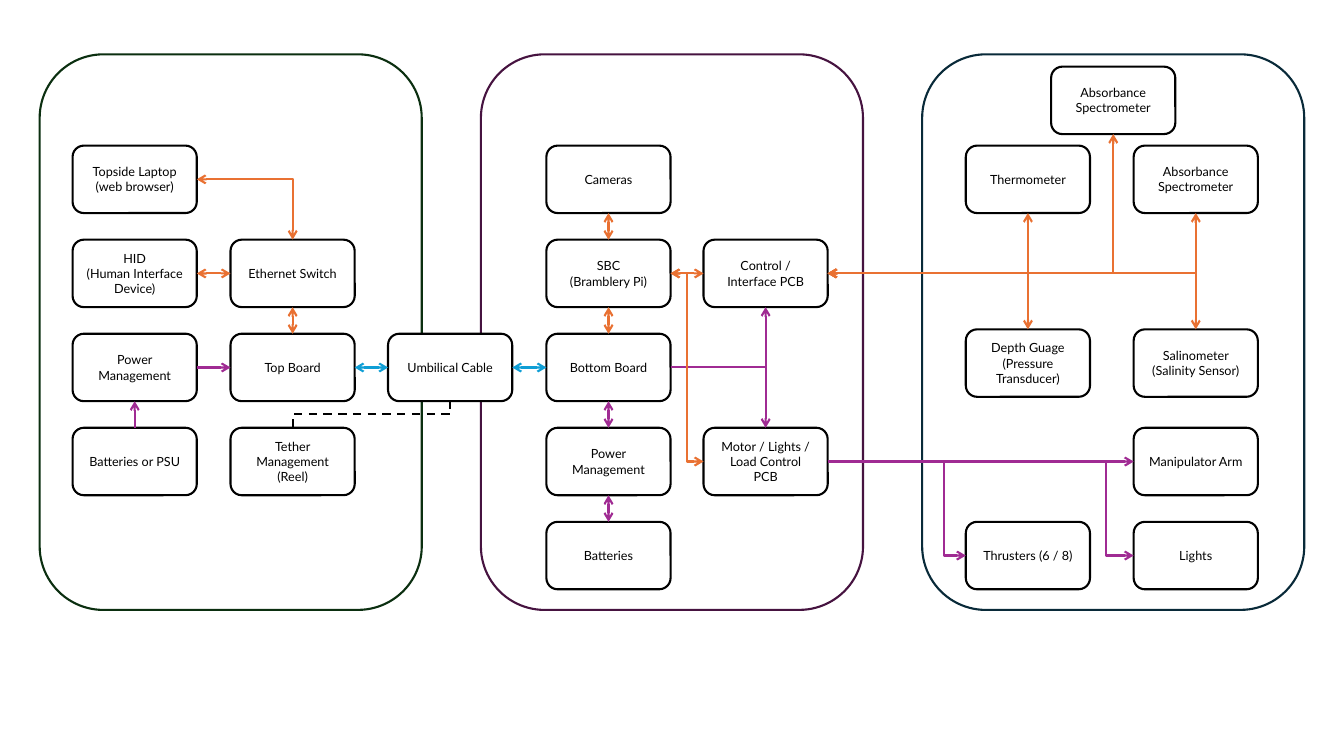
"""Builds the block diagram of an underwater vehicle: topside, vehicle and payload."""
from lxml import etree
from pptx import Presentation
from pptx.dml.color import RGBColor
from pptx.enum import dml, shapes, text
from pptx.oxml import ns
from pptx.util import Cm, Pt

WHITE = RGBColor(0xFF, 0xFF, 0xFF)
BLACK = RGBColor(0, 0, 0)
DATA = RGBColor(0xE9, 0x71, 0x32)
POWER = RGBColor(0xA0, 0x2B, 0x93)
TETHER = RGBColor(0x0F, 0x9E, 0xD5)
TOPSIDE = RGBColor(0x0B, 0x2F, 0x10)
VEHICLE = RGBColor(0x46, 0x13, 0x40)
PAYLOAD = RGBColor(0x09, 0x2A, 0x39)
TOP, LEFT, BOTTOM, RIGHT = range(4)

deck = Presentation()
deck.slide_width, deck.slide_height = Cm(33.87), Cm(19.05)
slide = deck.slides.add_slide(deck.slide_layouts[6])


def add_rounded(x, y, width, height, outline):
    rounded = slide.shapes.add_shape(
        shapes.MSO_SHAPE.ROUNDED_RECTANGLE, Cm(x), Cm(y), Cm(width), Cm(height))
    rounded.shadow.inherit = False
    rounded.line.color.rgb = outline
    rounded.line.width = Pt(1.5)
    return rounded


def add_link(start, start_site, end, end_site, color, bend):
    kind = shapes.MSO_CONNECTOR.ELBOW if bend else shapes.MSO_CONNECTOR.STRAIGHT
    link = slide.shapes.add_connector(kind, 0, 0, 0, 0)
    link.begin_connect(units[start], start_site)
    link.end_connect(units[end], end_site)
    link.line.color.rgb = color
    link.line.width = Pt(1.5)
    properties = link._element.spPr
    etree.SubElement(properties, ns.qn("a:effectLst"))
    geometry = properties.find(ns.qn("a:prstGeom"))
    if bend == "corner":
        geometry.set("prst", "bentConnector2")
    elif bend:
        etree.SubElement(geometry.find(ns.qn("a:avLst")), ns.qn("a:gd"),
                         name="adj1", fmla=f"val {bend}")
    return link


for number, outline in enumerate([TOPSIDE, VEHICLE, PAYLOAD]):
    add_rounded(1 + 11.12 * number, 1.37, 9.63, 14, outline).fill.background()

columns = [1.83, 5.81, 9.78, 13.77, 17.73, 24.34, 28.57]
rows = [3.67 + 2.37 * row for row in range(5)]
layout = {
    "laptop": ("Topside Laptop (web browser)", columns[0], rows[0]),
    "hid": ("HID\n(Human Interface Device)", columns[0], rows[1]),
    "top power": ("Power Management", columns[0], rows[2]),
    "supply": ("Batteries or PSU", columns[0], rows[3]),
    "switch": ("Ethernet Switch", columns[1], rows[1]),
    "top board": ("Top Board", columns[1], rows[2]),
    "reel": ("Tether Management (Reel)", columns[1], rows[3]),
    "umbilical": ("Umbilical Cable", columns[2], rows[2]),
    "cameras": ("Cameras", columns[3], rows[0]),
    "sbc": ("SBC\n(Bramblery Pi)", columns[3], rows[1]),
    "bottom board": ("Bottom Board", columns[3], rows[2]),
    "bottom power": ("Power Management", columns[3], rows[3]),
    "batteries": ("Batteries", columns[3], rows[4]),
    "control": ("Control / Interface PCB", columns[4], rows[1]),
    "motor": ("Motor / Lights / Load Control PCB", columns[4], rows[3]),
    "upper spectrometer": ("Absorbance Spectrometer", 26.49, 1.68),
    "thermometer": ("Thermometer", columns[5], rows[0]),
    "depth": ("Depth Guage\n(Pressure Transducer)", columns[5], 8.3),
    "thrusters": ("Thrusters (6 / 8)", columns[5], rows[4]),
    "spectrometer": ("Absorbance Spectrometer", columns[6], rows[0]),
    "salinometer": ("Salinometer (Salinity Sensor)", columns[6], 8.3),
    "arm": ("Manipulator Arm", columns[6], rows[3]),
    "lights": ("Lights", columns[6], rows[4]),
}
units = {}
for key, (label, x, y) in layout.items():
    unit = units[key] = add_rounded(x, y, 3.13, 1.7, BLACK)
    unit.fill.solid()
    unit.fill.fore_color.rgb = WHITE
    frame = unit.text_frame
    frame.word_wrap = True
    frame.vertical_anchor = text.MSO_ANCHOR.MIDDLE
    for number, wording in enumerate(label.split("\n")):
        paragraph = frame.add_paragraph() if number else frame.paragraphs[0]
        paragraph.alignment = text.PP_ALIGN.CENTER
        run = paragraph.add_run()
        run.text = wording
        run.font.name = "Lato"
        run.font.size = Pt(9)
        run.font.color.rgb = BLACK

BOTH, END = ("headEnd", "tailEnd"), ("tailEnd",)
links = [
    ("top power", RIGHT, "top board", LEFT, POWER, None, END),
    ("hid", RIGHT, "switch", LEFT, DATA, None, BOTH),
    ("laptop", RIGHT, "switch", TOP, DATA, "corner", BOTH),
    ("supply", TOP, "top power", BOTTOM, POWER, None, END),
    ("switch", BOTTOM, "top board", TOP, DATA, None, BOTH),
    ("top board", RIGHT, "umbilical", LEFT, TETHER, None, BOTH),
    ("bottom board", LEFT, "umbilical", RIGHT, TETHER, None, BOTH),
    ("bottom power", TOP, "bottom board", BOTTOM, POWER, None, BOTH),
    ("batteries", TOP, "bottom power", BOTTOM, POWER, None, BOTH),
    ("sbc", BOTTOM, "bottom board", TOP, DATA, None, BOTH),
    ("cameras", BOTTOM, "sbc", TOP, DATA, None, BOTH),
    ("sbc", RIGHT, "control", LEFT, DATA, None, BOTH),
    ("bottom board", RIGHT, "control", BOTTOM, POWER, "corner", END),
    ("bottom board", RIGHT, "motor", TOP, POWER, "corner", END),
    ("sbc", RIGHT, "motor", LEFT, DATA, 50000, BOTH),
    ("motor", RIGHT, "thrusters", LEFT, POWER, 84300, END),
    ("motor", RIGHT, "lights", LEFT, POWER, 91000, END),
    ("motor", RIGHT, "arm", LEFT, POWER, None, END),
    ("control", RIGHT, "salinometer", TOP, DATA, "corner", BOTH),
    ("control", RIGHT, "spectrometer", BOTTOM, DATA, "corner", BOTH),
    ("control", RIGHT, "thermometer", BOTTOM, DATA, "corner", BOTH),
    ("control", RIGHT, "depth", TOP, DATA, "corner", BOTH),
    ("control", RIGHT, "upper spectrometer", BOTTOM, DATA, "corner", BOTH),
]
for *route, arrowheads in links:
    stroke = add_link(*route).line._get_or_add_ln()
    for arrowhead in arrowheads:
        etree.SubElement(stroke, ns.qn(f"a:{arrowhead}"), type="arrow")

reel_link = add_link("reel", TOP, "umbilical", BOTTOM, BLACK, 50000)
reel_link.line.dash_style = dml.MSO_LINE.DASH
span, rise = reel_link.width, reel_link.height
reel_link.left += (span - rise) // 2
reel_link.top -= (span - rise) // 2
reel_link.width, reel_link.height = rise, span
turn = reel_link._element.spPr.find(ns.qn("a:xfrm"))
for attribute, value in [("rot", "5400000"), ("flipH", "1"), ("flipV", "1")]:
    turn.set(attribute, value)

deck.save("out.pptx")
